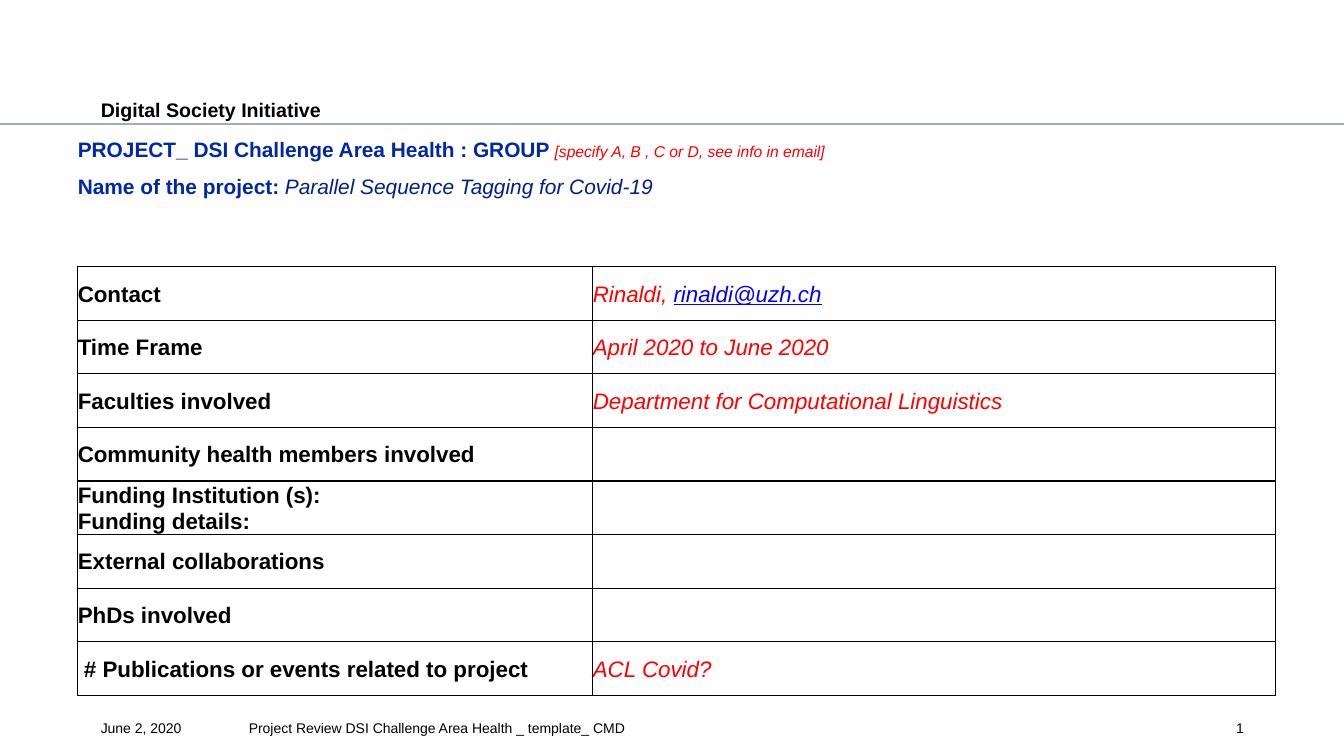
from dataclasses import dataclass
from typing import Any

from lxml.etree import SubElement
from pptx import Presentation
from pptx.dml.color import RGBColor
from pptx.enum.shapes import MSO_CONNECTOR
from pptx.enum.text import MSO_ANCHOR, MSO_AUTO_SIZE, PP_ALIGN
from pptx.oxml import parse_xml
from pptx.oxml.ns import nsdecls, qn
from pptx.util import Cm, Pt

BLACK, RED, BLUE, NAVY, LINK, GREY = (
    "000000", "FF0000", "0028A5", "002084", "0000FF", "A3ADB7")


@dataclass
class Span:
    text: str
    size: float
    color: str = BLACK
    bold: bool = False
    italic: bool = False
    under: bool = False


@dataclass
class Label:
    span: Span
    left: float
    top: float
    width: float
    height: float
    align: PP_ALIGN = PP_ALIGN.LEFT


def label(text: str) -> Span:
    return Span(text, 16, bold=True)


def value(text: str, color: str = RED, under: bool = False) -> Span:
    return Span(text, 16, color, italic=True, under=under)


LABELS = [
    Label(Span("Digital Society Initiative", 14, bold=True), 2.54, 2.46, 20.37, 0.56),
    Label(Span("Project Review DSI Challenge Area Health _ template_ CMD", 10),
          6.27, 18.14, 19.46, 0.38),
    Label(Span("June 2, 2020", 10), 2.54, 18.14, 3.45, 0.38),
    Label(Span("1", 10), 30.99, 18.14, 0.36, 0.38, PP_ALIGN.RIGHT),
]

TITLE = [
    [Span("PROJECT_ DSI Challenge Area Health : GROUP ", 14.9, BLUE, bold=True),
     Span("[specify A, B , C or D, see info in email]", 11.2, RED, italic=True)],
    [Span("Name of the project: ", 14.9, BLUE, bold=True),
     Span("Parallel Sequence Tagging for Covid-19", 14.9, NAVY, italic=True)],
]

# Each row holds the lines of its label and the spans of its value
ROWS = [
    (["Contact"], [value("Rinaldi, "), value("rinaldi@uzh.ch", LINK, True)]),
    (["Time Frame"], [value("April 2020 to June 2020")]),
    (["Faculties involved"], [value("Department for Computational Linguistics")]),
    (["Community health members involved"], []),
    (["Funding Institution (s):", "Funding details:"], []),
    (["External collaborations"], []),
    (["PhDs involved"], []),
    ([" # Publications or events related to project"], [value("ACL Covid?")]),
]
COLS = [12.98, 17.2]
ROW_HEIGHT = 1.35


def paint(color: Any, code: str) -> None:
    color.rgb = RGBColor.from_string(code)


def apply(target: Any, values: dict[str, Any]) -> None:
    for name, val in values.items():
        setattr(target, name, val)


def write(par: Any, lines: list[list[Span]], space: float = 1.0) -> None:
    apply(par, {"line_spacing": space, "alignment": PP_ALIGN.LEFT})
    for num, line in enumerate(lines):
        if num:
            par.add_line_break()
        for span in line:
            run = par.add_run()
            run.text = span.text
            apply(run.font, {"name": "Arial", "size": Pt(span.size),
                             "bold": span.bold, "italic": span.italic,
                             "underline": span.under})
            paint(run.font.color, span.color)


def reset(frame: Any) -> None:
    apply(frame, {"margin_left": 0, "margin_right": 0, "margin_top": 0,
                  "margin_bottom": 0, "word_wrap": True,
                  "auto_size": MSO_AUTO_SIZE.NONE,
                  "vertical_anchor": MSO_ANCHOR.TOP})


def border(cell: Any) -> None:
    props = cell._tc.get_or_add_tcPr()
    for num, side in enumerate(("lnL", "lnR", "lnT", "lnB")):
        props.insert(num, parse_xml(
            f'<a:{side} {nsdecls("a")} w="{Pt(1)}"><a:solidFill>'
            f'<a:srgbClr val="{BLACK}"/></a:solidFill></a:{side}>'))


def add_rule(slide: Any, width: int) -> None:
    rule = slide.shapes.add_connector(
        MSO_CONNECTOR.STRAIGHT, 0, Cm(3.12), width, Cm(3.12))
    rule.line.width = Pt(1.25)
    paint(rule.line.color, GREY)
    SubElement(rule._element.spPr, qn("a:effectLst"))


def add_label(slide: Any, item: Label) -> None:
    box = slide.shapes.add_textbox(
        Cm(item.left), Cm(item.top), Cm(item.width), Cm(item.height))
    reset(box.text_frame)
    par = box.text_frame.paragraphs[0]
    write(par, [[item.span]])
    par.alignment = item.align


def set_title(slide: Any) -> None:
    title = slide.shapes.title
    apply(title, {"left": Cm(1.96), "top": Cm(3.12),
                  "width": Cm(31.4), "height": Cm(1.4)})
    reset(title.text_frame)
    write(title.text_frame.paragraphs[0], TITLE, 1.5)


def add_grid(slide: Any) -> None:
    table = slide.shapes.add_table(
        len(ROWS), len(COLS), Cm(1.96), Cm(6.72),
        Cm(sum(COLS)), Cm(ROW_HEIGHT * len(ROWS))).table
    apply(table, {"first_row": False, "horz_banding": False})
    for col, width in zip(table.columns, COLS):
        col.width = Cm(width)
    for row, (names, spans) in zip(table.rows, ROWS):
        row.height = Cm(ROW_HEIGHT)
        texts = [[label(name)] for name in names], [spans]
        for cell, lines in zip(row.cells, texts):
            apply(cell, {"margin_left": 0, "margin_right": 0, "margin_top": 0,
                         "margin_bottom": 0, "vertical_anchor": MSO_ANCHOR.MIDDLE})
            cell.fill.background()
            border(cell)
            write(cell.text_frame.paragraphs[0], lines, 1.07)


def main() -> None:
    deck = Presentation()
    apply(deck, {"slide_width": Cm(33.87), "slide_height": Cm(19.05)})
    slide = deck.slides.add_slide(deck.slide_layouts[5])

    # Header and footer
    add_rule(slide, deck.slide_width)
    for item in LABELS:
        add_label(slide, item)

    # Title and project table
    set_title(slide)
    add_grid(slide)
    deck.save("out.pptx")


if __name__ == "__main__":
    main()
